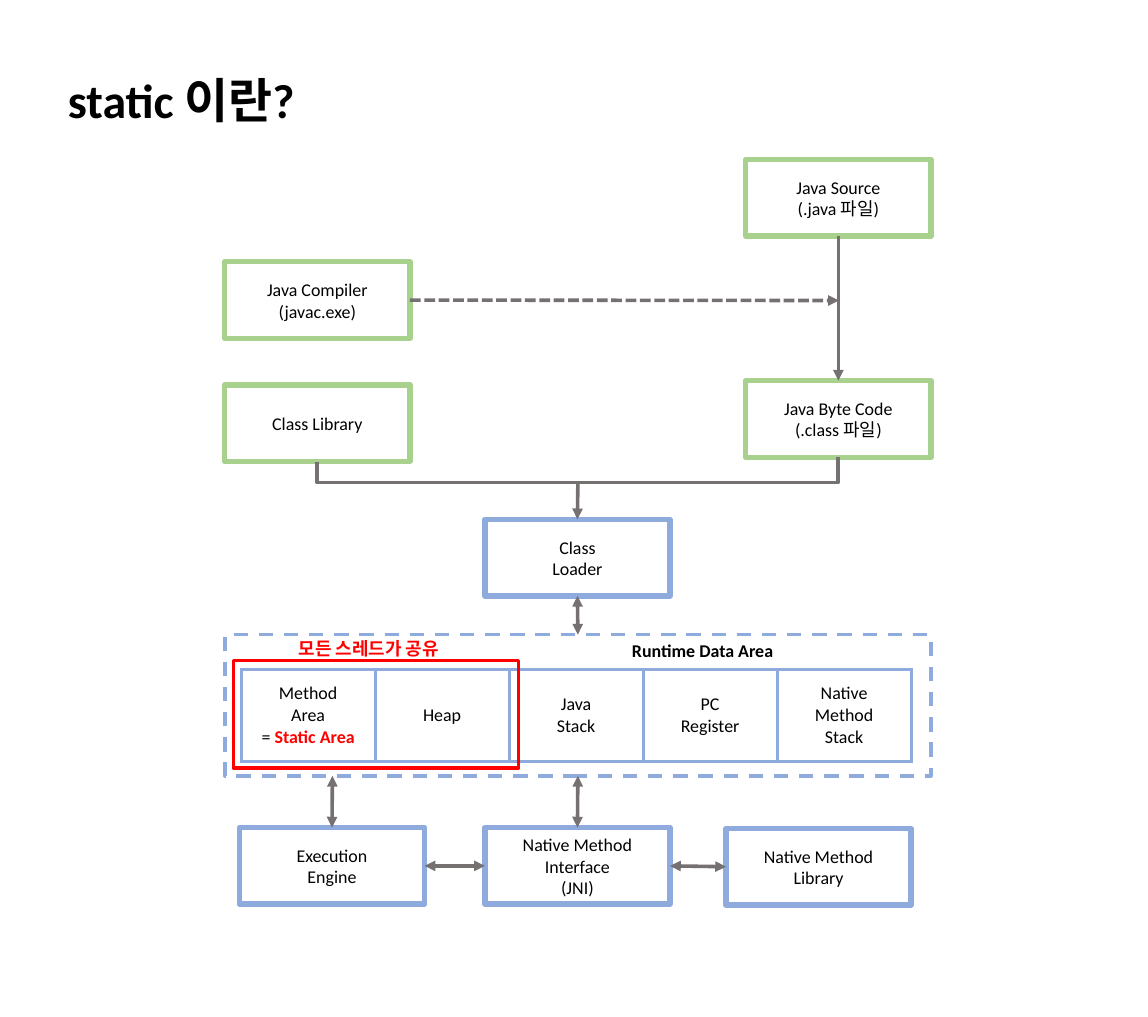
from lxml.etree import SubElement
from pptx import Presentation
from pptx.dml.color import RGBColor
from pptx.enum.dml import MSO_LINE
from pptx.enum.shapes import MSO_CONNECTOR, MSO_SHAPE
from pptx.enum.text import MSO_ANCHOR, MSO_AUTO_SIZE, PP_ALIGN
from pptx.oxml.ns import qn
from pptx.util import Inches, Pt

THEME = {
    "font": "Calibri",
    "title_size": Pt(40),
    "body_size": Pt(15),
    "black": RGBColor.from_string("000000"),
    "red": RGBColor.from_string("FF0000"),
    "green": RGBColor.from_string("A9D18E"),
    "blue": RGBColor.from_string("8FAADC"),
    "gray": RGBColor.from_string("767171"),
    "box_line": Pt(4.5),
    "thin_line": Pt(3),
}
BOX_W, BOX_H = 2.15, 0.89
TOP, LEFT, BOTTOM, RIGHT = range(4)

presentation = Presentation()
presentation.slide_width, presentation.slide_height = Inches(13.33), Inches(11.81)
slide = presentation.slides.add_slide(presentation.slide_layouts[6])
shapes = slide.shapes


def write(paragraph, text, color="black", **changes):
    run = paragraph.add_run()
    run.text = text
    formats = {"name": THEME["font"], "size": THEME["body_size"], "bold": False}
    for attribute, value in (formats | changes).items():
        setattr(run.font, attribute, value)
    run.font.color.rgb = THEME[color]


def draw_box(left, top, width, height, color, weight, lines=()):
    box = shapes.add_shape(MSO_SHAPE.RECTANGLE, *map(Inches, (left, top, width, height)))
    box.shadow.inherit = False
    box.fill.background()
    box.line.color.rgb = THEME[color]
    box.line.width = THEME[weight]
    frame = box.text_frame
    frame.vertical_anchor = MSO_ANCHOR.MIDDLE
    for index, line in enumerate(lines):
        paragraph = frame.add_paragraph() if index else frame.paragraphs[0]
        paragraph.alignment = PP_ALIGN.CENTER
        write(paragraph, line)
    return box


# Stages of compiling and running
stages = {}
for stage, left, top, color, lines in [
    ("source", 8.66, 1.85, "green", ["Java Source", "(.java 파일)"]),
    ("byte code", 8.66, 4.42, "green", ["Java Byte Code", "(.class 파일)"]),
    ("compiler", 2.61, 3.04, "green", ["Java Compiler", "(javac.exe)"]),
    ("class library", 2.61, 4.47, "green", ["Class Library"]),
    ("loader", 5.63, 6.03, "blue", ["Class", "Loader"]),
    ("engine", 2.78, 9.61, "blue", ["Execution", "Engine"]),
    ("jni", 5.63, 9.61, "blue", ["Native Method", "Interface", "(JNI)"]),
    ("native library", 8.43, 9.62, "blue", ["Native Method", "Library"]),
]:
    stages[stage] = draw_box(left, top, BOX_W, BOX_H, color, "box_line", lines)

# Runtime data area
runtime_area = draw_box(2.61, 7.37, 8.2, 1.64, "blue", "thin_line")
runtime_area.line.dash_style = MSO_LINE.DASH
stages["runtime"] = runtime_area

memory_areas = [
    ["Method", "Area", "= "],
    ["Heap"],
    ["Java", "Stack"],
    ["PC", "Register"],
    ["Native", "Method", "Stack"],
]
memory = shapes.add_table(
    1, len(memory_areas), Inches(2.8), Inches(7.77), Inches(7.78), Inches(1.07)
).table
memory.first_row = memory.horz_banding = False
for column, lines in enumerate(memory_areas):
    cell = memory.cell(0, column)
    cell.vertical_anchor = MSO_ANCHOR.MIDDLE
    properties = cell._tc.get_or_add_tcPr()
    for side in ("a:lnL", "a:lnR", "a:lnT", "a:lnB"):
        border = SubElement(properties, qn(side), w=str(THEME["thin_line"]))
        border_fill = SubElement(border, qn("a:solidFill"))
        SubElement(border_fill, qn("a:srgbClr"), val=str(THEME["blue"]))
    cell.fill.background()
    for index, line in enumerate(lines):
        paragraph = cell.text_frame.add_paragraph() if index else cell.text_frame.paragraphs[0]
        paragraph.alignment = PP_ALIGN.CENTER
        write(paragraph, line)
method_area = memory.cell(0, 0).text_frame
write(method_area.paragraphs[-1], "Static Area", "red", bold=True)

# Frame around the memory shared by all threads
draw_box(2.71, 7.67, 3.31, 1.25, "red", "thin_line")

# Title and labels
for left, top, width, height, text, color, size in [
    (0.69, 0.77, 2.96, 0.77, "static 이란?", "black", "title_size"),
    (7.24, 7.38, 1.86, 0.35, "Runtime Data Area", "black", "body_size"),
    (3.37, 7.36, 2.03, 0.35, "모든 스레드가 공유", "red", "body_size"),
]:
    label = shapes.add_textbox(*map(Inches, (left, top, width, height))).text_frame
    label.word_wrap = False
    label.auto_size = MSO_AUTO_SIZE.SHAPE_TO_FIT_TEXT
    write(label.paragraphs[0], text, color, size=THEME[size], bold=True)

# Arrows: each end is a point or a (stage, side) pair
ONE_WAY, BOTH_WAYS = ["a:tailEnd"], ["a:headEnd", "a:tailEnd"]
links = []
for start, end, heads, dash in [
    (("source", BOTTOM), ("byte code", TOP), ONE_WAY, None),
    (("compiler", RIGHT), (9.74, 3.49), ONE_WAY, MSO_LINE.SQUARE_DOT),
    ((6.71, 5.61), ("loader", TOP), ONE_WAY, None),
    (("loader", BOTTOM), ("runtime", TOP), BOTH_WAYS, None),
    (("runtime", BOTTOM), ("jni", TOP), BOTH_WAYS, None),
    ((3.86, 9.01), ("engine", TOP), BOTH_WAYS, None),
    (("native library", LEFT), ("jni", RIGHT), BOTH_WAYS, None),
    (("jni", LEFT), ("engine", RIGHT), BOTH_WAYS, None),
]:
    points = [(0, 0) if place[0] in stages else place for place in (start, end)]
    arrow = shapes.add_connector(
        MSO_CONNECTOR.STRAIGHT, *(Inches(value) for point in points for value in point)
    )
    for place, connect in ((start, arrow.begin_connect), (end, arrow.end_connect)):
        if place[0] in stages:
            connect(stages[place[0]], place[1])
    links.append((arrow, heads, dash))

# Bracket joining the class library and the byte code below both boxes
bracket = shapes.add_connector(
    MSO_CONNECTOR.ELBOW, Inches(6.73), Inches(8.36), Inches(6.68), Inches(2.31)
)
bracket_properties = bracket.element.spPr
bracket_properties.find(qn("a:xfrm")).set("rot", str(90 * 60000))
adjustments = bracket_properties.find(".//" + qn("a:avLst"))
SubElement(adjustments, qn("a:gd"), name="adj1", fmla="val -487700")
links.append((bracket, [], None))

# Line style and arrowheads
for link, heads, dash in links:
    link.line.color.rgb = THEME["gray"]
    link.line.width = THEME["thin_line"]
    if dash:
        link.line.dash_style = dash
    outline = link.element.spPr.find(qn("a:ln"))
    for head in heads:
        SubElement(outline, qn(head), type="triangle")
    SubElement(link.element.spPr, qn("a:effectLst"))

presentation.save("out.pptx")
